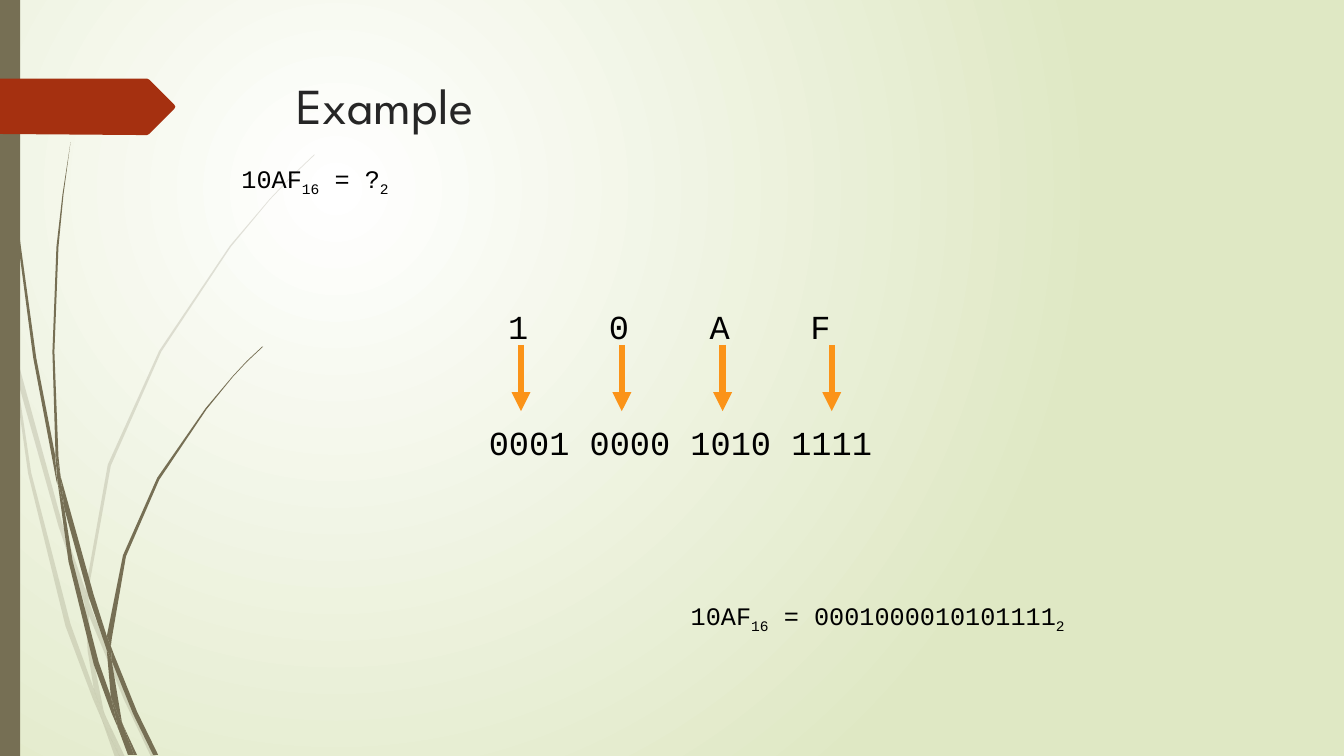
import pptx
import pptx.dml.color
import pptx.enum.dml
import pptx.enum.shapes
import pptx.enum.text
import pptx.oxml
import pptx.oxml.ns
import pptx.util
from pptx.util import Cm

STEM, RIBBON, ARROW, INK, TITLE_INK = "766F54", "A53010", "FB9318", "000000", "262626"
CODE_FONT, TITLE_FONT = "Courier New", "League Spartan"
HUNDREDTH_INCH = Cm(2.54) / 100

# Outlines in hundredths of an inch, as x, y pairs.
PALE_WISPS = [
    [(11, 350), (9, 322), (0, 282), (0, 299), (10, 344)],
    [(58, 522), (84, 599), (85, 586), (62, 520), (14, 345), (17, 376)],
    [(92, 607), (88, 596), (88, 610), (123, 694), (150, 751), (155, 751), (127, 692)],
    [(119, 751), (124, 751), (105, 711)],
    [(93, 683), (70, 619), (31, 469), (17, 376), (11, 350), (28, 470), (65, 621),
     (92, 693), (101, 714), (99, 707)],
    [(84, 599), (87, 646), (93, 683), (96, 692), (105, 711), (103, 706), (91, 646),
     (88, 610), (88, 608)],
    [(88, 584), (110, 462), (160, 349), (229, 245), (268, 198), (290, 175), (312, 154),
     (312, 153), (289, 175), (268, 197), (228, 244), (158, 348), (107, 461), (85, 584),
     (85, 586), (88, 596)],
    [(101, 714), (114, 751), (119, 751)],
    [(88, 608), (88, 610), (88, 596), (85, 586), (84, 599)],
    [(96, 692), (93, 683), (99, 707), (101, 714), (119, 751), (105, 711)],
]
DARK_WISPS = [
    [(7, 110), (17, 233), (33, 355), (56, 477), (57, 481), (55, 457), (55, 453), (36, 355),
     (19, 232), (8, 109), (5, 48), (4, 0), (3, 0), (4, 48)],
    [(88, 592), (106, 645), (106, 633), (106, 631), (93, 590), (60, 472), (64, 505)],
    [(113, 649), (110, 641), (111, 656), (132, 708), (152, 749), (157, 749), (136, 706)],
    [(110, 691), (98, 657), (72, 556), (64, 505), (57, 477), (68, 557), (93, 659),
     (111, 708), (117, 722), (116, 717)],
    [(60, 472), (58, 453), (54, 349), (58, 245), (63, 193), (70, 141), (62, 193),
     (56, 245), (52, 349), (55, 449)],
    [(133, 749), (136, 749), (122, 719)],
    [(57, 477), (64, 505), (60, 472), (55, 449), (55, 453)],
    [(111, 633), (125, 552), (158, 476), (205, 406), (231, 374), (245, 359), (261, 344),
     (260, 344), (245, 358), (231, 373), (204, 405), (156, 474), (122, 551), (106, 631),
     (110, 641)],
    [(117, 722), (127, 749), (131, 749)],
    [(106, 645), (110, 691), (116, 706), (122, 719), (121, 716), (111, 656), (109, 651)],
    [(106, 645), (109, 651), (111, 656), (110, 641), (106, 631), (106, 633)],
    [(116, 706), (110, 691), (116, 717), (117, 722), (130, 749), (133, 749), (122, 719)],
]
RIBBON_OUTLINE = [(173, 108), (148, 133), (146, 134), (136, 134), (0, 133), (0, 78),
                  (146, 78), (148, 79), (173, 104), (174, 106)]


def rgb(hex_colour):
    return pptx.dml.color.RGBColor.from_string(hex_colour)


def paint_background(slide):
    """Radial gradient centred a quarter of the way across and down."""
    fill = slide.background.fill
    fill.gradient()
    for stop, position, colour in zip(fill.gradient_stops, (0, 1), ("FFFFFF", "DFE8C4")):
        stop.position = position
        stop.color.rgb = rgb(colour)
    gradient = slide.element.find(".//" + pptx.oxml.ns.qn("a:gradFill"))
    linear = gradient.find(pptx.oxml.ns.qn("a:lin"))
    gradient.replace(linear, pptx.oxml.parse_xml(
        f'<a:path {pptx.oxml.ns.nsdecls("a")} path="circle">'
        '<a:fillToRect l="50000" t="50000" r="100000" b="100000"/></a:path>'))


def paint(shape, colour, opacity=100):
    shape.shadow.inherit = False
    shape.line.fill.background()
    shape.fill.solid()
    shape.fill.fore_color.rgb = rgb(colour)
    if opacity < 100:
        tint = shape.fill._xPr.find(".//" + pptx.oxml.ns.qn("a:srgbClr"))
        tint.append(pptx.oxml.parse_xml(
            f'<a:alpha {pptx.oxml.ns.nsdecls("a")} val="{opacity * 1000}"/>'))


def add_outline(shapes, points, colour, opacity=100):
    builder = shapes.build_freeform(*points[0], scale=HUNDREDTH_INCH)
    builder.add_line_segments(points[1:], close=True)
    paint(builder.convert_to_shape(), colour, opacity)


def add_run(paragraph, text, size, font=CODE_FONT, colour=INK, subscript=False):
    run = paragraph.add_run()
    run.text = text
    run.font.size = pptx.util.Pt(size)
    run.font.name = font
    run.font.color.rgb = rgb(colour)
    if subscript:
        run._r.get_or_add_rPr().set("baseline", "-25000")


def add_text_frame(shapes, left, top, width, height):
    frame = shapes.add_textbox(Cm(left), Cm(top), Cm(width), Cm(height)).text_frame
    frame.word_wrap = True
    frame.margin_top = Cm(0.3)
    frame.margin_bottom = 0
    return frame


def add_equation(slide, left, top, width, result):
    frame = add_text_frame(slide.shapes, left, top, width, 1.02)
    equation = frame.paragraphs[0]
    equation.alignment = pptx.enum.text.PP_ALIGN.CENTER
    for text, subscript in (("10AF", False), ("16", True), (f" = {result}", False), ("2", True)):
        add_run(equation, text, 18, subscript=subscript)


def add_arrow(shapes, x, top, bottom):
    arrow = shapes.add_connector(
        pptx.enum.shapes.MSO_CONNECTOR.STRAIGHT, Cm(x), Cm(top), Cm(x), Cm(bottom))
    arrow.line.color.rgb = rgb(ARROW)
    arrow.line.width = pptx.util.Pt(4.5)
    namespace = pptx.oxml.ns.nsdecls("a")
    properties = arrow.element.spPr
    properties.find(pptx.oxml.ns.qn("a:ln")).append(
        pptx.oxml.parse_xml(f'<a:tailEnd {namespace} type="triangle"/>'))
    properties.append(pptx.oxml.parse_xml(f"<a:effectLst {namespace}/>"))


def add_conversion(slide):
    """Hexadecimal digits with arrows down to their four-bit groups."""
    shapes = slide.shapes.add_group_shape().shapes
    frame = add_text_frame(shapes, 12.07, 7.42, 10.59, 4.37)
    digits = frame.paragraphs[0]
    stops = "".join(f'<a:tab pos="{Cm(0.74 + 2.54 * column)}" algn="ctr"/>' for column in range(4))
    digits._p.get_or_add_pPr().append(pptx.oxml.parse_xml(
        f'<a:tabLst {pptx.oxml.ns.nsdecls("a")}>{stops}</a:tabLst>'))
    add_run(digits, "\t1\t0\tA\tF", 24)
    bits = frame.add_paragraph()
    bits.space_before = pptx.util.Pt(54)
    add_run(bits, "0001 0000 1010 1111", 24)
    for x in (13.13, 15.67, 18.21, 20.96):
        add_arrow(shapes, x, 8.69, 10.36)


def add_decoration(slide, page_height):
    for wisps, opacity in ((PALE_WISPS, 20), (DARK_WISPS, 100)):
        strand = slide.shapes.add_group_shape().shapes
        for points in wisps:
            add_outline(strand, points, STEM, opacity)
    edge = slide.shapes.add_shape(
        pptx.enum.shapes.MSO_SHAPE.RECTANGLE, 0, 0, Cm(0.51), page_height)
    paint(edge, STEM)
    add_outline(slide.shapes, RIBBON_OUTLINE, RIBBON)


def set_title(slide, text):
    title = slide.shapes.title
    title.left, title.top, title.width, title.height = Cm(7.21), Cm(1.73), Cm(24.77), Cm(3.56)
    title.text_frame.vertical_anchor = pptx.enum.text.MSO_ANCHOR.TOP
    heading = title.text_frame.paragraphs[0]
    heading.alignment = pptx.enum.text.PP_ALIGN.LEFT
    add_run(heading, text, 36, TITLE_FONT, TITLE_INK)


def main():
    deck = pptx.Presentation()
    deck.slide_width, deck.slide_height = Cm(33.87), Cm(19.05)
    slide = deck.slides.add_slide(deck.slide_layouts[5])
    paint_background(slide)
    add_decoration(slide, deck.slide_height)
    set_title(slide, "Example")
    add_equation(slide, 5.08, 3.81, 5.72, "?")
    add_conversion(slide)
    add_equation(slide, 15.45, 14.82, 13.34, "0001000010101111")
    deck.save("out.pptx")


if __name__ == "__main__":
    main()
